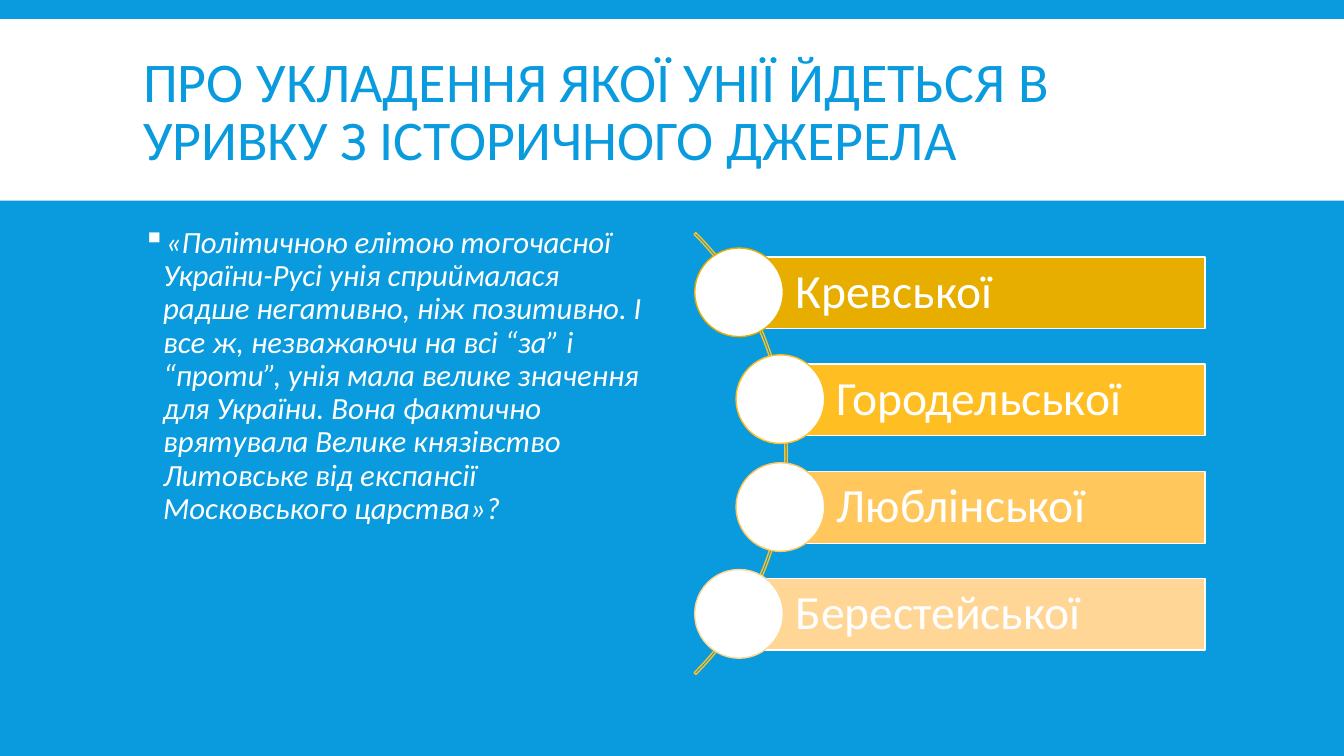
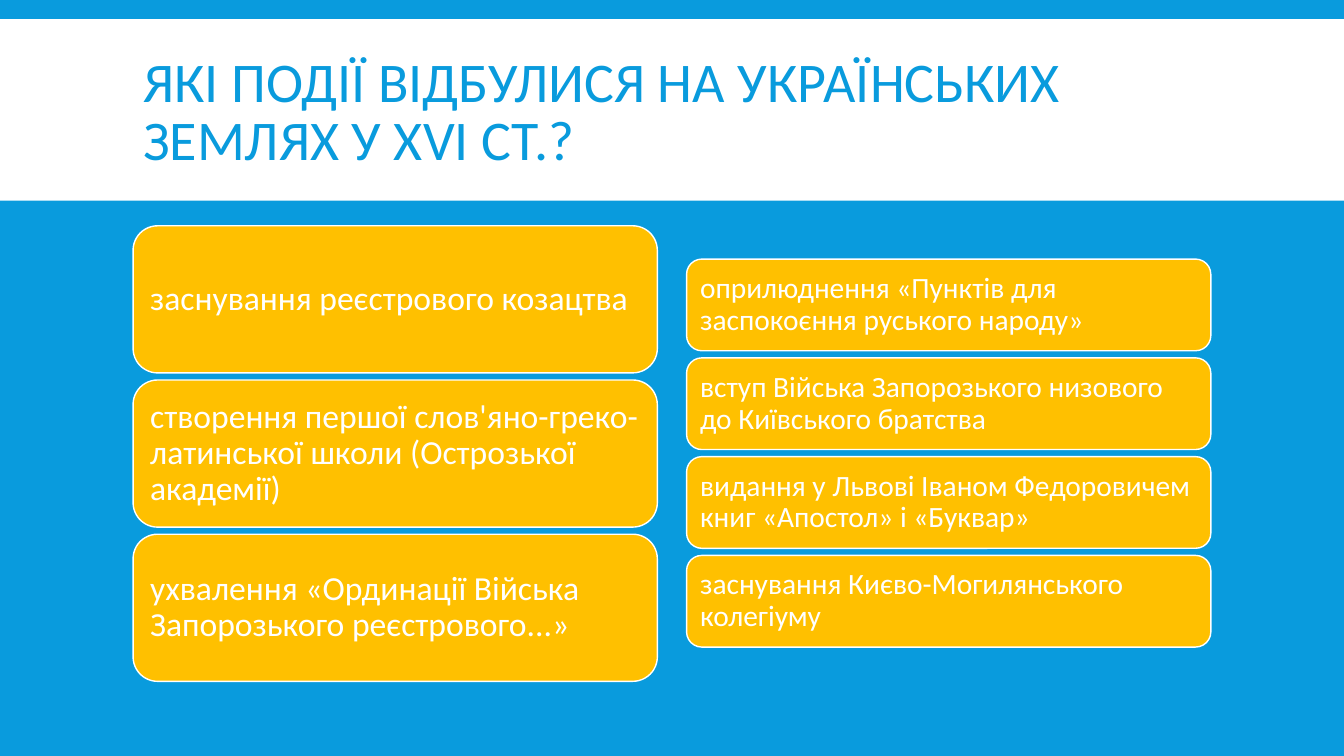
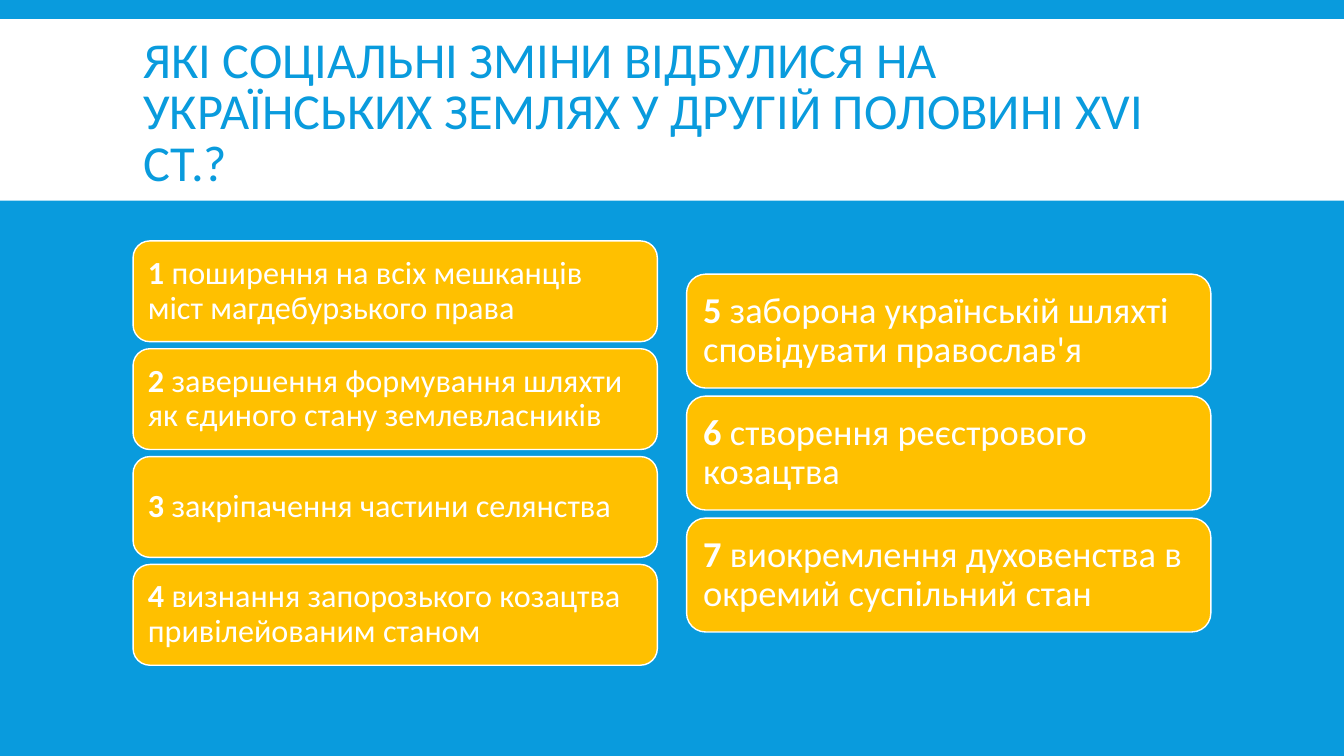
from dataclasses import dataclass

import lxml.etree
import pptx
import pptx.dml.color
import pptx.enum.shapes
import pptx.enum.text
import pptx.oxml.ns
import pptx.util

SCALE = 9144
SHAPE = pptx.enum.shapes.MSO_SHAPE
MIDDLE = pptx.enum.text.MSO_ANCHOR.MIDDLE
LEFT = pptx.enum.text.PP_ALIGN.LEFT


@dataclass(frozen=True)
class Theme:
    font: str = "Calibri"
    blue: str = "099BDD"
    white: str = "FFFFFF"
    gold: str = "FFC000"
    arc: str = "FFC122"
    title: int = 40
    small: int = 36
    quote: int = 22
    option: int = 34


@dataclass(frozen=True)
class Box:
    left: int
    top: int
    width: int
    height: int


@dataclass(frozen=True)
class Option:
    text: str
    left: int
    color: str


@dataclass(frozen=True)
class Card:
    text: str
    mark: str = ""


@dataclass(frozen=True)
class Column:
    left: int
    height: int
    gap: int
    inset: int
    size: int
    cards: tuple[Card, ...]


THEME = Theme()
BAND = Box(0, 19, 1333, 180)
TITLE = Box(132, 31, 1070, 165)
QUOTE = Box(132, 220, 520, 460)
ARC = Box(161, 140, 620, 620)
CENTER = 450
CARD_WIDTH = 520
LEFT_SIDE, RIGHT_SIDE = 132, 681
BAR_TOP, BAR_SPAN, BAR_HEIGHT, BAR_RIGHT = 255, 319, 71, 1195
DOT = 88

QUOTE_TEXT = (
    "«Політичною елітою тогочасної України-Русі унія сприймалася радше "
    "негативно, ніж позитивно. І все ж, незважаючи на всі “за” і “проти”, "
    "унія мала велике значення для України. Вона фактично врятувала Велике "
    "князівство Литовське від експансії Московського царства»?"
)
OPTIONS = (
    Option("Кревської", 733, "E7AE00"),
    Option("Городельської", 774, "FFBE22"),
    Option("Люблінської", 774, "FFC75C"),
    Option("Берестейської", 733, "FFD695"),
)
EVENTS = (
    Column(LEFT_SIDE, 146, 7, 10, 24, (
        Card("заснування реєстрового козацтва"),
        Card("створення першої слов'яно-греко-латинської школи (Острозької академії)"),
        Card("ухвалення «Ординації Війська Запорозького реєстрового...»"),
    )),
    Column(RIGHT_SIDE, 91, 7, 9, 21, (
        Card("оприлюднення «Пунктів для заспокоєння руського народу»"),
        Card("вступ Війська Запорозького низового до Київського братства"),
        Card("видання у Львові Іваном Федоровичем книг «Апостол» і «Буквар»"),
        Card("заснування Києво-Могилянського колегіуму"),
    )),
)
CHANGES = (
    Column(LEFT_SIDE, 100, 7, 10, 23, (
        Card("поширення на всіх мешканців міст магдебурзького права", "1 "),
        Card("завершення формування шляхти як єдиного стану землевласників", "2 "),
        Card("закріпачення частини селянства", "3 "),
        Card("визнання запорозького козацтва привілейованим станом", "4 "),
    )),
    Column(RIGHT_SIDE, 113, 8, 11, 26, (
        Card("заборона українській шляхті сповідувати православ'я", "5 "),
        Card("створення реєстрового козацтва", "6 "),
        Card("виокремлення духовенства в окремий суспільний стан", "7 "),
    )),
)


def px(count: int) -> pptx.util.Emu:
    return pptx.util.Emu(count * SCALE)


def rgb(code: str) -> pptx.dml.color.RGBColor:
    return pptx.dml.color.RGBColor.from_string(code)


def place(box: Box) -> tuple:
    return px(box.left), px(box.top), px(box.width), px(box.height)


def style(para, size: int, color: str, space: float) -> None:
    para.alignment = LEFT
    para.line_spacing = space
    para.font.name = THEME.font
    para.font.size = pptx.util.Pt(size)
    para.font.color.rgb = rgb(color)


def draw(slide, kind, box: Box, fill: str = "", line: str = ""):
    shape = slide.shapes.add_shape(kind, *place(box))
    shape.shadow.inherit = False
    if fill:
        shape.fill.solid()
        shape.fill.fore_color.rgb = rgb(fill)
    else:
        shape.fill.background()
    if line:
        shape.line.color.rgb = rgb(line)
        shape.line.width = pptx.util.Pt(1)
    else:
        shape.line.fill.background()
    return shape


def label(shape, card: Card, size: int, left: int, inset: int) -> None:
    frame = shape.text_frame
    frame.word_wrap = True
    frame.vertical_anchor = MIDDLE
    frame.margin_left = px(left)
    frame.margin_right = frame.margin_top = frame.margin_bottom = px(inset)
    para = frame.paragraphs[0]
    style(para, size, THEME.white, 0.9)
    if card.mark:
        mark = para.add_run()
        mark.text = card.mark
        mark.font.bold = True
    para.add_run().text = card.text


def start(deck, text: str, size: int = THEME.title):
    slide = deck.slides.add_slide(deck.slide_layouts[5])
    title = slide.shapes.title
    title.left, title.top, title.width, title.height = place(TITLE)
    frame = title.text_frame
    frame.text = text
    frame.word_wrap = True
    frame.auto_size = pptx.enum.text.MSO_AUTO_SIZE.NONE
    frame.vertical_anchor = MIDDLE
    style(frame.paragraphs[0], size, THEME.blue, 0.85)
    return slide


def dress(deck, slide) -> None:
    back = deck.slide_master.background.fill
    back.solid()
    back.fore_color.rgb = rgb(THEME.blue)
    band = draw(slide, SHAPE.RECTANGLE, BAND, THEME.white)
    slide.slide_layout.shapes.element.insert(2, band.element)


def quote(slide) -> None:
    frame = slide.shapes.add_textbox(*place(QUOTE)).text_frame
    frame.word_wrap = True
    para = frame.paragraphs[0]
    para.text = QUOTE_TEXT
    props = para._p.get_or_add_pPr()
    props.set("marL", str(px(20)))
    props.set("indent", str(px(-20)))
    name = pptx.oxml.ns.qn
    tint = lxml.etree.SubElement(props, name("a:buClr"))
    lxml.etree.SubElement(tint, name("a:srgbClr"), val=THEME.white)
    lxml.etree.SubElement(props, name("a:buChar"), char="▪")
    style(para, THEME.quote, THEME.white, 0.9)
    para.font.italic = True


def choices(slide) -> None:
    arc = draw(slide, SHAPE.BLOCK_ARC, ARC, line=THEME.arc)
    for index, value in enumerate((189, 27, 0.004)):
        arc.adjustments[index] = value
    for index, option in enumerate(OPTIONS):
        top = BAR_TOP + round(index * BAR_SPAN / (len(OPTIONS) - 1))
        box = Box(option.left, top, BAR_RIGHT - option.left, BAR_HEIGHT)
        bar = draw(slide, SHAPE.RECTANGLE, box, option.color, THEME.white)
        label(bar, Card(option.text), THEME.option, 56, 9)
        dot = Box(option.left - DOT // 2, top - 9, DOT, DOT)
        draw(slide, SHAPE.OVAL, dot, THEME.white, option.color)


def stack(slide, column: Column) -> None:
    pitch = column.height + column.gap
    total = pitch * len(column.cards) - column.gap
    first = (2 * CENTER - total) // 2
    for index, card in enumerate(column.cards):
        box = Box(column.left, first + index * pitch, CARD_WIDTH, column.height)
        shape = draw(slide, SHAPE.ROUNDED_RECTANGLE, box, THEME.gold, THEME.white)
        label(shape, card, column.size, column.inset, column.inset)


def main() -> None:
    deck = pptx.Presentation()
    deck.slide_width, deck.slide_height = px(1333), px(750)

    union = start(deck, "ПРО УКЛАДЕННЯ ЯКОЇ УНІЇ ЙДЕТЬСЯ В УРИВКУ З ІСТОРИЧНОГО ДЖЕРЕЛА")
    dress(deck, union)
    quote(union)
    choices(union)

    events = start(deck, "ЯКІ ПОДІЇ ВІДБУЛИСЯ НА УКРАЇНСЬКИХ ЗЕМЛЯХ У ХVI СТ.?")
    for column in EVENTS:
        stack(events, column)

    changes = start(
        deck,
        "ЯКІ СОЦІАЛЬНІ ЗМІНИ ВІДБУЛИСЯ НА УКРАЇНСЬКИХ ЗЕМЛЯХ У ДРУГІЙ ПОЛОВИНІ XVI СТ.?",
        THEME.small,
    )
    for column in CHANGES:
        stack(changes, column)

    deck.save("out.pptx")


if __name__ == "__main__":
    main()
